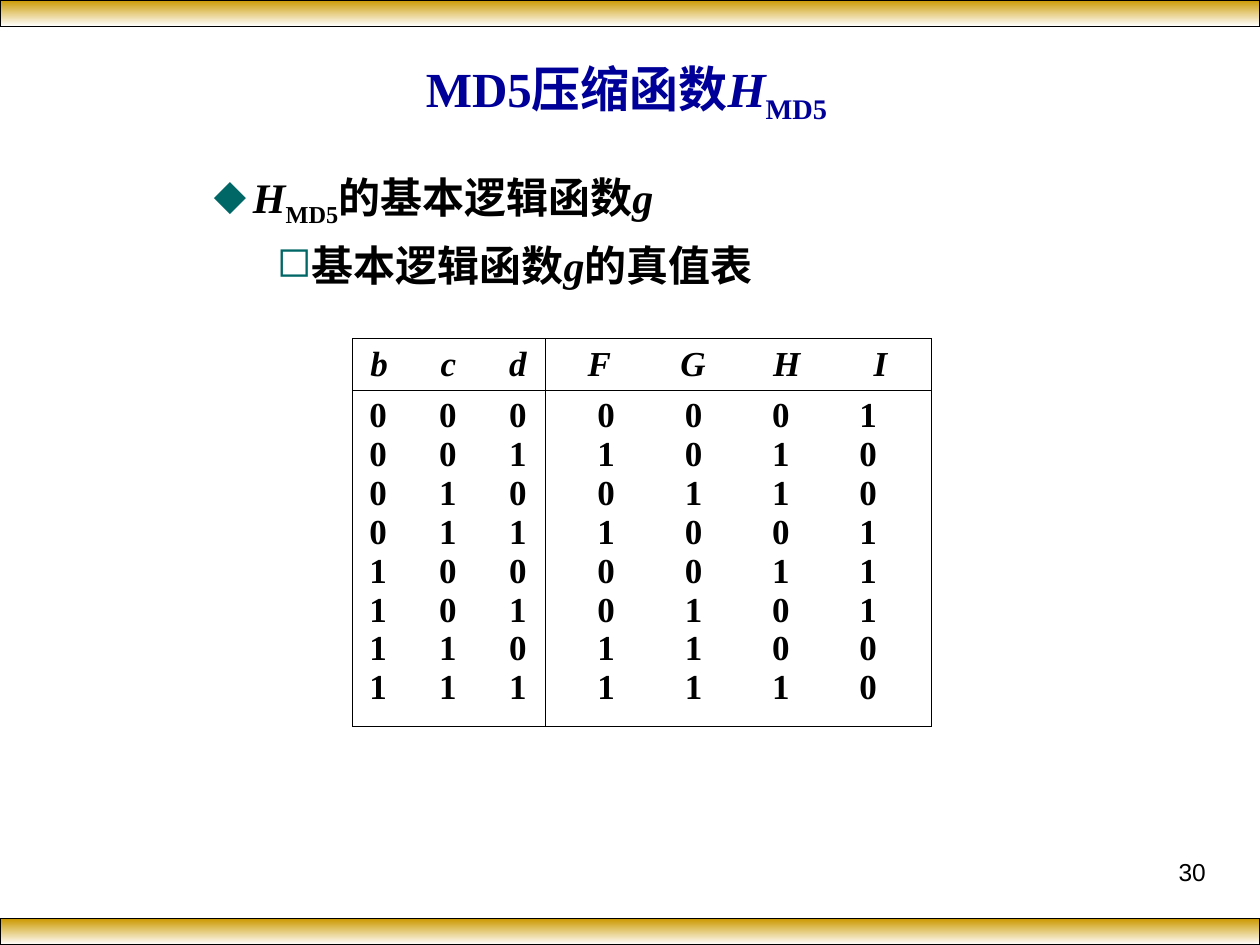
from dataclasses import dataclass

from lxml import etree
from pptx import Presentation
from pptx import util as u
from pptx.dml.color import RGBColor
from pptx.enum import shapes, text
from pptx.oxml.ns import qn

BLACK, NAVY, TEAL, GOLD, WHITE = "000000", "000099", "006666", "CC9900", "FFFFFF"
SERIF = "Times New Roman"
ITALIC, SUBSCRIPT = "italic", "subscript"


@dataclass
class Style:
    size: float
    color: str = BLACK
    font: str = SERIF
    bold: bool = True


@dataclass
class Bullet:
    char: str
    level: int
    left: float
    hanging: float
    space_before: float
    pieces: list


@dataclass
class Column:
    """Headings and values of one half of the truth table; tab stops in cm."""
    headings: str
    rows: list
    heading_start: float
    heading_step: float
    value_start: float
    value_step: float


TITLE = [("MD5压缩函数", None), ("H", ITALIC), ("MD5 ", SUBSCRIPT)]
BULLETS = [
    Bullet("◆", 0, 2.06, 0.79, 0,
           [("H", ITALIC), ("MD5", SUBSCRIPT), ("的基本逻辑函数", None), ("g", ITALIC)]),
    Bullet("◻", 1, 3.18, 0.64, 6,
           [("基本逻辑函数", None), ("g", ITALIC), ("的真值表", None)]),
]
COLUMNS = [
    Column("bcd", [f"{n:03b}" for n in range(8)], 0.53, 1.4, 0.51, 1.41),
    Column("FGHI", ["0001", "1010", "0110", "1001", "0011", "0101", "1100", "1110"],
           1.08, 1.89, 1.22, 1.76),
]


def rgb(color: str) -> RGBColor:
    return RGBColor.from_string(color)


def add_run(paragraph, wording: str, style: Style, role=None):
    run = paragraph.add_run()
    run.text = wording
    values = {"name": style.font, "size": u.Pt(style.size),
              "bold": style.bold, "italic": role == ITALIC}
    for key, value in values.items():
        setattr(run.font, key, value)
    run.font.color.rgb = rgb(style.color)
    if role == SUBSCRIPT:
        run._r.get_or_add_rPr().set("baseline", "-25000")


def add_box(slide, left, top, width, height, anchor=text.MSO_ANCHOR.TOP):
    frame = slide.shapes.add_textbox(*map(u.Cm, (left, top, width, height))).text_frame
    frame.word_wrap = True
    frame.vertical_anchor = anchor
    return frame


def add_band(slide, top: float):
    band = slide.shapes.add_shape(shapes.MSO_SHAPE.RECTANGLE,
                                  0, u.Cm(top), u.Cm(25.4), u.Cm(0.53))
    band.shadow.inherit = False
    band.fill.gradient()
    band.fill.gradient_angle = 270
    for stop, color in zip(band.fill.gradient_stops, (GOLD, WHITE)):
        stop.color.rgb = rgb(color)
    band.line.color.rgb = rgb(BLACK)
    band.line.width = u.Pt(0.75)


def add_bullet(paragraph, bullet: Bullet):
    paragraph.level = bullet.level
    paragraph.space_before = u.Pt(bullet.space_before)
    props = paragraph._p.get_or_add_pPr()
    props.set("marL", str(u.Cm(bullet.left)))
    props.set("indent", str(-u.Cm(bullet.hanging)))
    color = etree.SubElement(props, qn("a:buClr"))
    etree.SubElement(color, qn("a:srgbClr"), val=TEAL)
    etree.SubElement(props, qn("a:buChar"), char=bullet.char)
    for wording, role in bullet.pieces:
        add_run(paragraph, wording, Style(24), role)


def draw_borders(cell):
    props = cell._tc.get_or_add_tcPr()
    for index, side in enumerate(("lnL", "lnR", "lnT", "lnB")):
        line = etree.Element(qn(f"a:{side}"), w=str(u.Pt(0.45)))
        fill = etree.SubElement(line, qn("a:solidFill"))
        etree.SubElement(fill, qn("a:srgbClr"), val=BLACK)
        props.insert(index, line)


def fill_cell(cell, lines, start: float, step: float, role=None):
    """Write each line's symbols under evenly spaced centred tab stops."""
    cell.fill.background()
    cell.margin_left = cell.margin_right = 0
    draw_borders(cell)
    frame = cell.text_frame
    for index, symbols in enumerate(lines):
        paragraph = frame.add_paragraph() if index else frame.paragraphs[0]
        paragraph.line_spacing = u.Pt(22.2)
        stops = etree.SubElement(paragraph._p.get_or_add_pPr(), qn("a:tabLst"))
        for place in range(len(symbols)):
            etree.SubElement(stops, qn("a:tab"), pos=str(u.Cm(start + place * step)),
                             algn="ctr")
        add_run(paragraph, "".join(f"\t{symbol}" for symbol in symbols), Style(20), role)


def add_truth_table(slide):
    table = slide.shapes.add_table(2, 2, *map(u.Cm, (7.11, 6.83, 11.66, 7.62))).table
    table.first_row = table.horz_banding = False
    for row, height in zip(table.rows, (0.84, 6.78)):
        row.height = u.Cm(height)
    for index, (column, width) in enumerate(zip(COLUMNS, (3.89, 7.77))):
        table.columns[index].width = u.Cm(width)
        fill_cell(table.cell(0, index), [column.headings],
                  column.heading_start, column.heading_step, ITALIC)
        fill_cell(table.cell(1, index), column.rows,
                  column.value_start, column.value_step)


def main():
    deck = Presentation()
    deck.slide_width, deck.slide_height = u.Cm(25.4), u.Cm(19.05)
    slide = deck.slides.add_slide(deck.slide_layouts[6])
    for top in (0, 18.52):
        add_band(slide, top)

    number = add_box(slide, 18.21, 17.15, 6.35, 1.32).paragraphs[0]
    number.alignment = text.PP_ALIGN.RIGHT
    add_run(number, "30", Style(14, font="Arial", bold=False))

    title = add_box(slide, 0.84, 1.07, 23.72, 1.57, text.MSO_ANCHOR.MIDDLE).paragraphs[0]
    title.alignment = text.PP_ALIGN.CENTER
    for wording, role in TITLE:
        add_run(title, wording, Style(28, NAVY), role)

    body = add_box(slide, 2.79, 3.33, 18.26, 2.64)
    for index, bullet in enumerate(BULLETS):
        add_bullet(body.add_paragraph() if index else body.paragraphs[0], bullet)

    add_truth_table(slide)
    deck.save("out.pptx")


if __name__ == "__main__":
    main()
